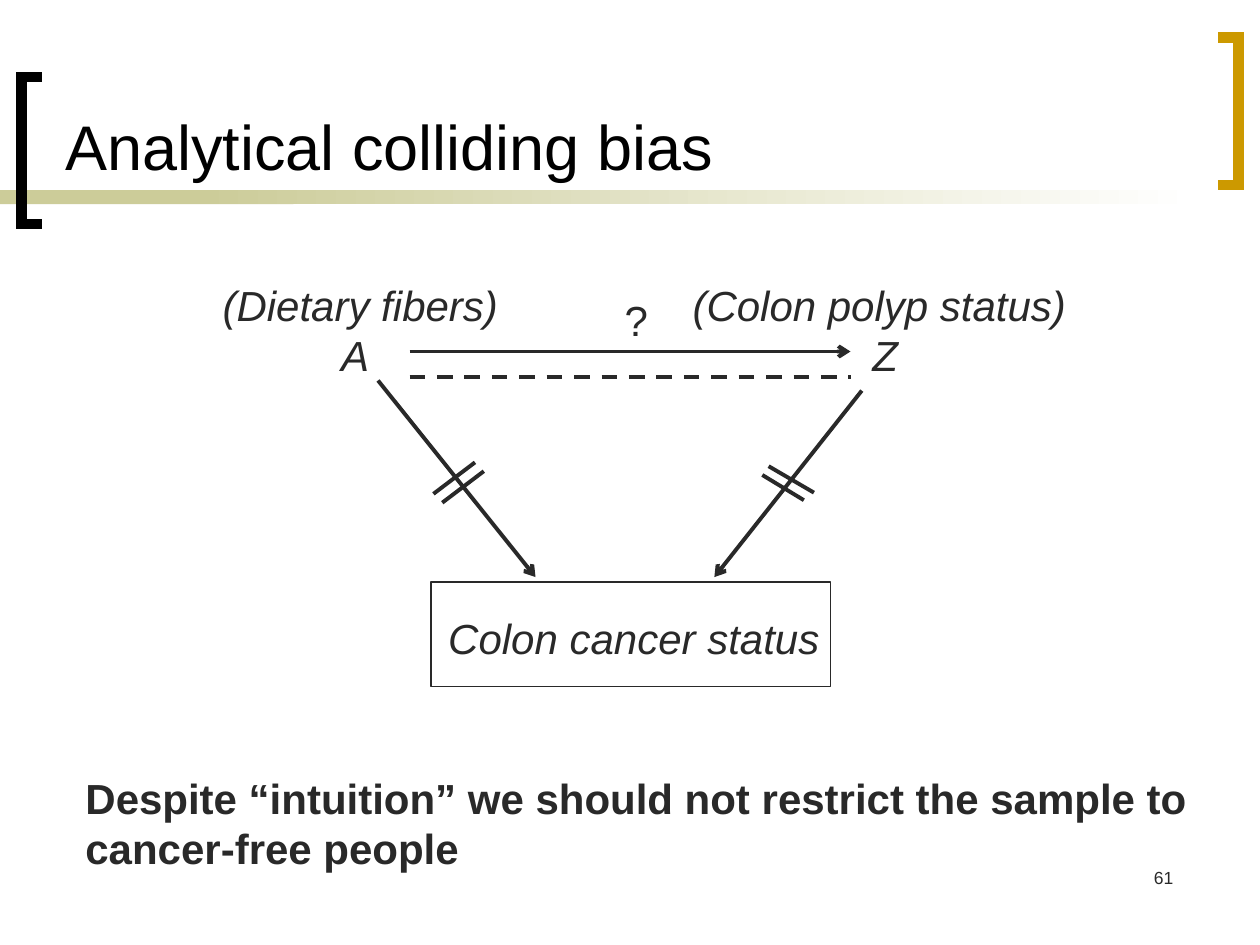
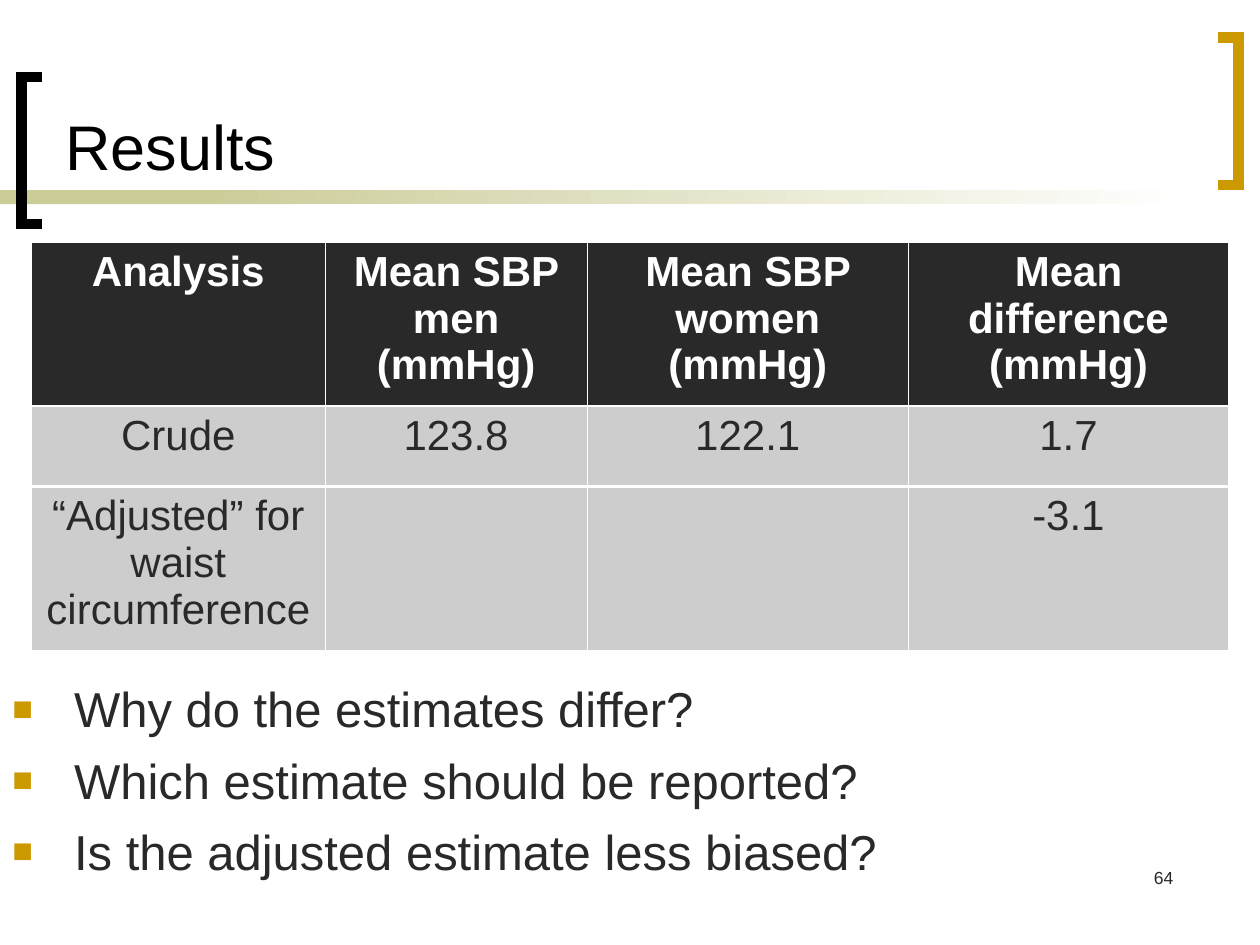
from dataclasses import dataclass

from lxml.etree import SubElement
from pptx import Presentation
from pptx.dml.color import RGBColor
from pptx.enum.dml import MSO_LINE
from pptx.enum.shapes import MSO_CONNECTOR, MSO_SHAPE
from pptx.enum.text import MSO_ANCHOR, PP_ALIGN
from pptx.oxml.ns import qn
from pptx.util import Inches, Pt


@dataclass(frozen=True)
class Theme:
    font: str = "Arial"
    ink: str = "292929"
    black: str = "000000"
    white: str = "FFFFFF"
    olive: str = "CCCC99"
    gold: str = "CC9900"
    cell: str = "CDCDCD"
    title_size: int = 36
    bullet_size: int = 28
    body_size: int = 24
    number_size: int = 10
    leading: float = 1.2


THEME = Theme()
WIDTH, HEIGHT = 10, 7.5

# Shared frame: band (left, width) and brackets (open end x, spine x, top, colour)
BAND_TOP, BAND_HEIGHT = 1.51, 0.11
SOLID_BAND, FADING_BAND = (0, 2.33), (1.58, 7.92)
BRACKET_HEIGHT = 1.17
BRACKETS = [(0.33, 0.17, 0.61, THEME.black), (9.67, 9.83, 0.3, THEME.gold)]

# Slide 61: causal diagram
DIAGRAM = {
    "number": "61",
    "title": "Analytical colliding bias",
    "labels": [
        (["(Dietary fibers)", "A "], (1.56, 2.17, 2.6, 0.9)),
        (["(Colon polyp status) ", "Z"], (5.3, 2.17, 3.45, 0.9)),
        (["Colon cancer status"], (2.77, 4.81, 4.52, 0.5)),
    ],
    "question": ("?", (4.86, 2.29, 0.4, 0.5)),
    "outcome_frame": (3.42, 4.62, 3.17, 0.83),
    "arrows": [
        ((3.25, 2.79), (6.75, 2.79)),
        ((3, 3.02), (4.25, 4.58)),
        ((6.84, 3.1), (5.67, 4.58)),
    ],
    "dashed": ((3.25, 2.99), (6.75, 2.99)),
    "break_marks": [
        ((3.44, 3.92), (3.77, 3.67)),
        ((3.51, 3.99), (3.84, 3.74)),
        ((6.05, 3.77), (6.38, 3.97)),
        ((6.1, 3.7), (6.46, 3.91)),
    ],
    "message": (
        ["Despite “intuition” we should not restrict the sample to",
         "cancer-free people"],
        (0.58, 6.08, 9.17, 0.9),
    ),
}

# Slide 64: table and questions
RESULTS = {
    "number": "64",
    "title": "Results",
    "rows": [
        ["Analysis", "Mean SBP men (mmHg)", "Mean SBP women (mmHg)",
         "Mean difference (mmHg)"],
        ["Crude", "123.8", "122.1", "1.7"],
        ["“Adjusted” for waist circumference", "", "", "-3.1"],
    ],
    "table_corner": (0.25, 1.92),
    "column_widths": [2.33, 2.08, 2.55, 2.54],
    "row_heights": [1.3, 0.64, 1.3],
    "questions": [
        "Why do the estimates differ?",
        "Which estimate should be reported?",
        "Is the adjusted estimate less biased?",
    ],
    "questions_area": (0, 5.34, 9.75, 1.17),
}


def colour(code):
    return RGBColor.from_string(code)


def inches(values):
    return [Inches(value) for value in values]


def style_font(font, size, code, bold=False, italic=False):
    font.name, font.size = THEME.font, Pt(size)
    font.color.rgb = colour(code)
    font.bold, font.italic = bold, italic


def add_bullet(para, indent=0.49):
    properties = para._p.get_or_add_pPr()
    properties.set("marL", str(Inches(indent)))
    properties.set("indent", str(-Inches(indent)))
    holder = SubElement(properties, qn("a:buClr"))
    SubElement(holder, qn("a:srgbClr"), val=THEME.gold)
    SubElement(properties, qn("a:buSzPct"), val="70000")
    SubElement(properties, qn("a:buFont"), typeface=THEME.font)
    SubElement(properties, qn("a:buChar"), char="■")


def add_text(slide, lines, area, *, size=THEME.body_size, code=THEME.ink,
             align=PP_ALIGN.LEFT, anchor=MSO_ANCHOR.TOP, wrap=True,
             bold=False, italic=False, bullet=False, gap=0, leading=None):
    """Place one paragraph per line; gap and leading are the paragraph spacing."""
    frame = slide.shapes.add_textbox(*inches(area)).text_frame
    frame.word_wrap, frame.vertical_anchor = wrap, anchor
    for index, line in enumerate(lines):
        para = frame.add_paragraph() if index else frame.paragraphs[0]
        para.alignment = align
        if leading:
            para.line_spacing = Pt(size * leading)
        if index and gap:
            para.space_before = Pt(gap)
        if bullet:
            add_bullet(para)
        span = para.add_run()
        span.text = line
        style_font(span.font, size, code, bold, italic)


def add_box(slide, area):
    box = slide.shapes.add_shape(MSO_SHAPE.RECTANGLE, *inches(area))
    box.shadow.inherit = False
    box.fill.background()
    box.line.fill.background()
    return box


def add_line(slide, start, end, arrow=False, dashed=False):
    line = slide.shapes.add_connector(MSO_CONNECTOR.STRAIGHT,
                                      *inches(start + end))
    line.line.color.rgb = colour(THEME.ink)
    line.line.width = Pt(2.25)
    if dashed:
        line.line.dash_style = MSO_LINE.DASH
    if arrow:
        SubElement(line.line._get_or_add_ln(), qn("a:tailEnd"), type="arrow")
    SubElement(line._element.spPr, qn("a:effectLst"))


def add_bracket(slide, open_end, spine, top, code):
    bottom = top + BRACKET_HEIGHT
    corners = [(open_end, top), (spine, top), (spine, bottom),
               (open_end, bottom)]
    points = [tuple(inches(corner)) for corner in corners]
    builder = slide.shapes.build_freeform(*points[0])
    builder.add_line_segments(points[1:], close=False)
    bracket = builder.convert_to_shape()
    bracket.shadow.inherit = False
    bracket.fill.background()
    bracket.line.color.rgb = colour(code)
    bracket.line.width = Pt(6)
    SubElement(bracket.line._get_or_add_ln(), qn("a:miter"), lim="800000")


def add_framed_slide(deck, content):
    """Add a slide with the band, brackets, page number and title."""
    slide = deck.slides.add_slide(deck.slide_layouts[6])
    solid, fading = [
        add_box(slide, (left, BAND_TOP, width, BAND_HEIGHT))
        for left, width in (SOLID_BAND, FADING_BAND)
    ]
    solid.fill.solid()
    solid.fill.fore_color.rgb = colour(THEME.olive)
    fading.fill.gradient()
    fading.fill.gradient_angle = 0
    for stop, code in zip(fading.fill.gradient_stops,
                          (THEME.olive, THEME.white)):
        stop.color.rgb = colour(code)
    for bracket in BRACKETS:
        add_bracket(slide, *bracket)
    add_text(slide, [content["number"]], (7.33, 6.83, 2.08, 0.5),
             size=THEME.number_size, align=PP_ALIGN.RIGHT)
    add_text(slide, [content["title"]], (0.42, 0.11, 9.33, 1.39),
             size=THEME.title_size, code=THEME.black,
             anchor=MSO_ANCHOR.BOTTOM)
    return slide


def build_diagram(deck):
    slide = add_framed_slide(deck, DIAGRAM)
    for lines, area in DIAGRAM["labels"]:
        add_text(slide, lines, area, align=PP_ALIGN.CENTER, italic=True,
                 wrap=False, leading=THEME.leading)
    mark, area = DIAGRAM["question"]
    add_text(slide, [mark], area, wrap=False, leading=THEME.leading)
    lines, area = DIAGRAM["message"]
    add_text(slide, lines, area, bold=True, leading=THEME.leading)
    frame = add_box(slide, DIAGRAM["outcome_frame"])
    frame.line.color.rgb = colour(THEME.ink)
    frame.line.width = Pt(0.75)
    for ends in DIAGRAM["arrows"]:
        add_line(slide, *ends, arrow=True)
    add_line(slide, *DIAGRAM["dashed"], dashed=True)
    for ends in DIAGRAM["break_marks"]:
        add_line(slide, *ends)


def set_borders(cell, **widths):
    """Draw white cell borders; widths in points are keyed L, R, T, B."""
    properties = cell._tc.get_or_add_tcPr()
    for side, width in widths.items():
        border = SubElement(properties, qn(f"a:ln{side}"), w=str(Pt(width)))
        fill = SubElement(border, qn("a:solidFill"))
        SubElement(fill, qn("a:srgbClr"), val=THEME.white)


def add_results_table(slide):
    rows, widths = RESULTS["rows"], RESULTS["column_widths"]
    heights = RESULTS["row_heights"]
    size = (sum(widths), sum(heights))
    table = slide.shapes.add_table(
        len(rows), len(widths),
        *inches(RESULTS["table_corner"] + size)).table
    table.horz_banding = False
    for column, width in zip(table.columns, widths):
        column.width = Inches(width)
    thin, thick = 0.45, 1.47
    for index, (row, height) in enumerate(zip(rows, heights)):
        table.rows[index].height = Inches(height)
        header, last = index == 0, index == len(rows) - 1
        for place, text in enumerate(row):
            cell = table.cell(index, place)
            set_borders(cell, L=thin, R=thin, T=thin if header else thick,
                        B=thin if last else thick)
            cell.fill.solid()
            cell.fill.fore_color.rgb = colour(
                THEME.ink if header else THEME.cell)
            cell.text = text
            para = cell.text_frame.paragraphs[0]
            para.alignment = PP_ALIGN.CENTER
            for span in para.runs:
                style_font(span.font, THEME.body_size,
                           THEME.white if header else THEME.ink, bold=header)


def build_results(deck):
    slide = add_framed_slide(deck, RESULTS)
    add_results_table(slide)
    add_text(slide, RESULTS["questions"], RESULTS["questions_area"],
             size=THEME.bullet_size, bullet=True, gap=7,
             leading=THEME.leading)


def main():
    deck = Presentation()
    deck.slide_width, deck.slide_height = inches((WIDTH, HEIGHT))
    build_diagram(deck)
    build_results(deck)
    deck.save("out.pptx")


if __name__ == "__main__":
    main()
